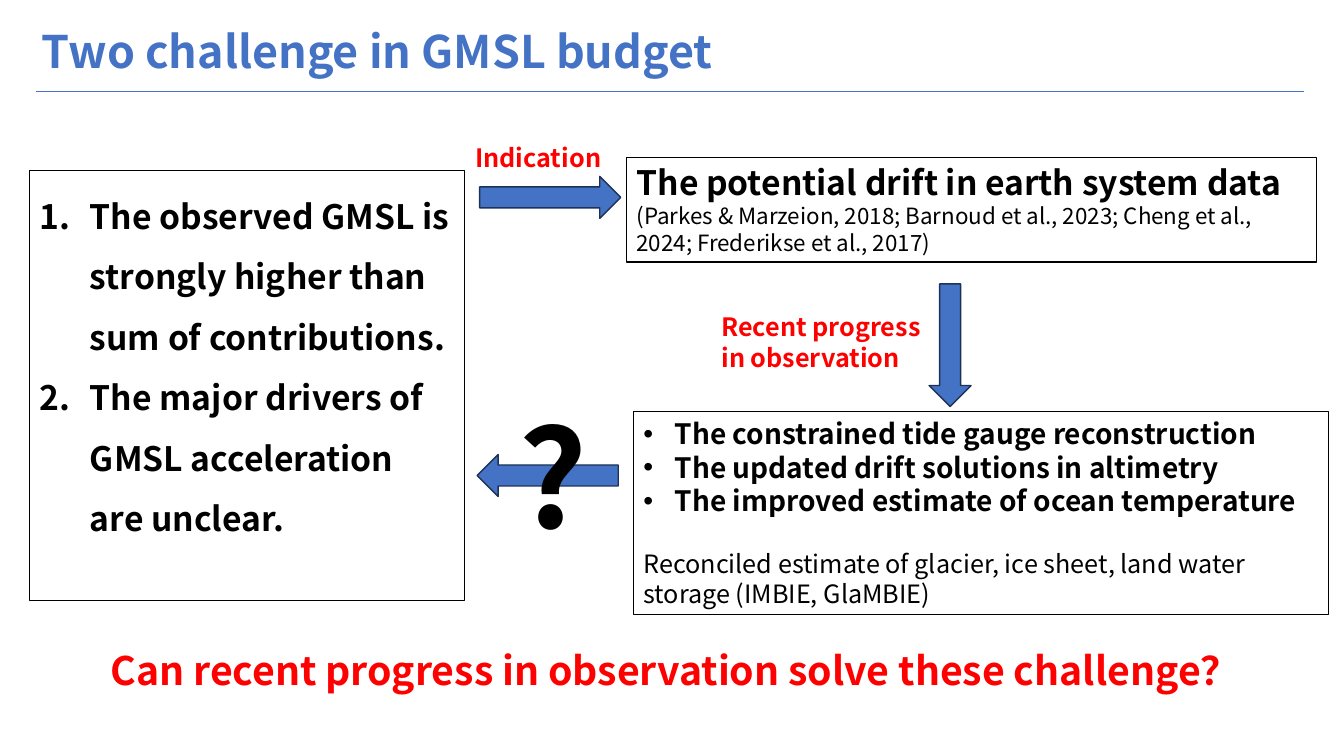
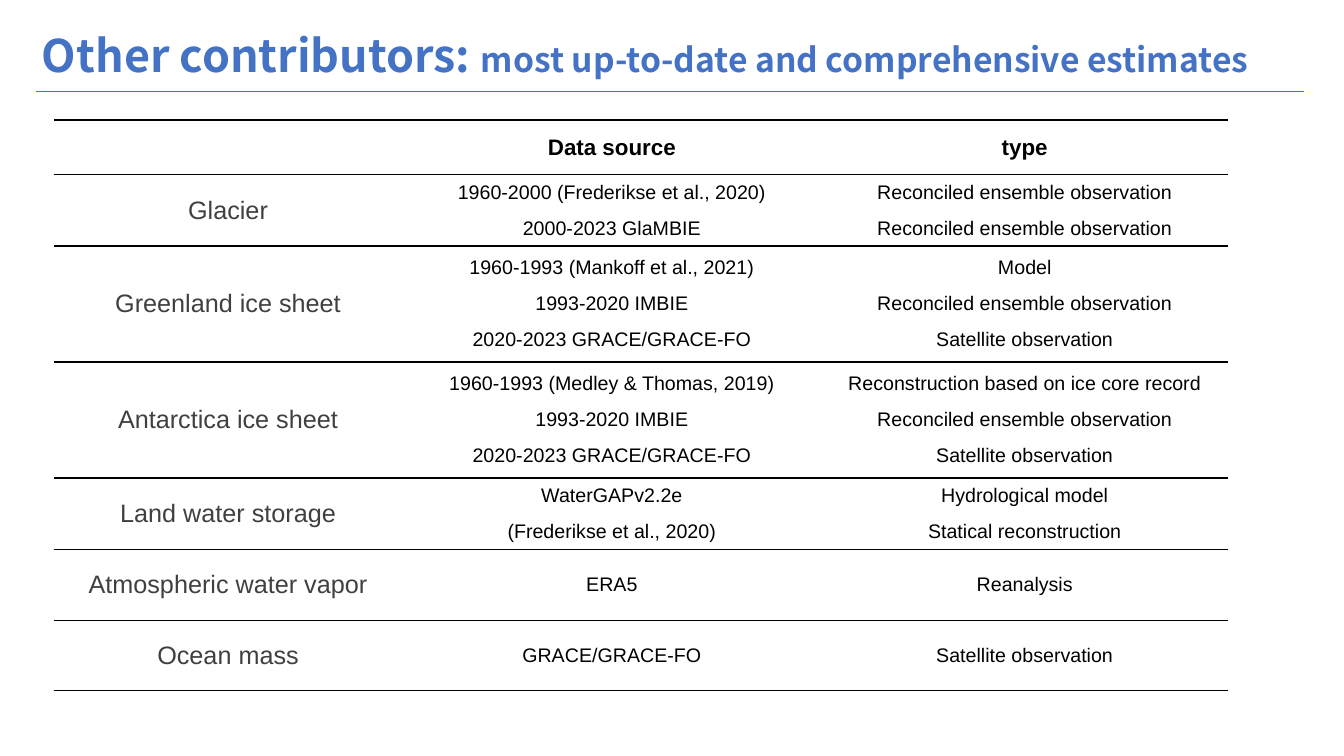
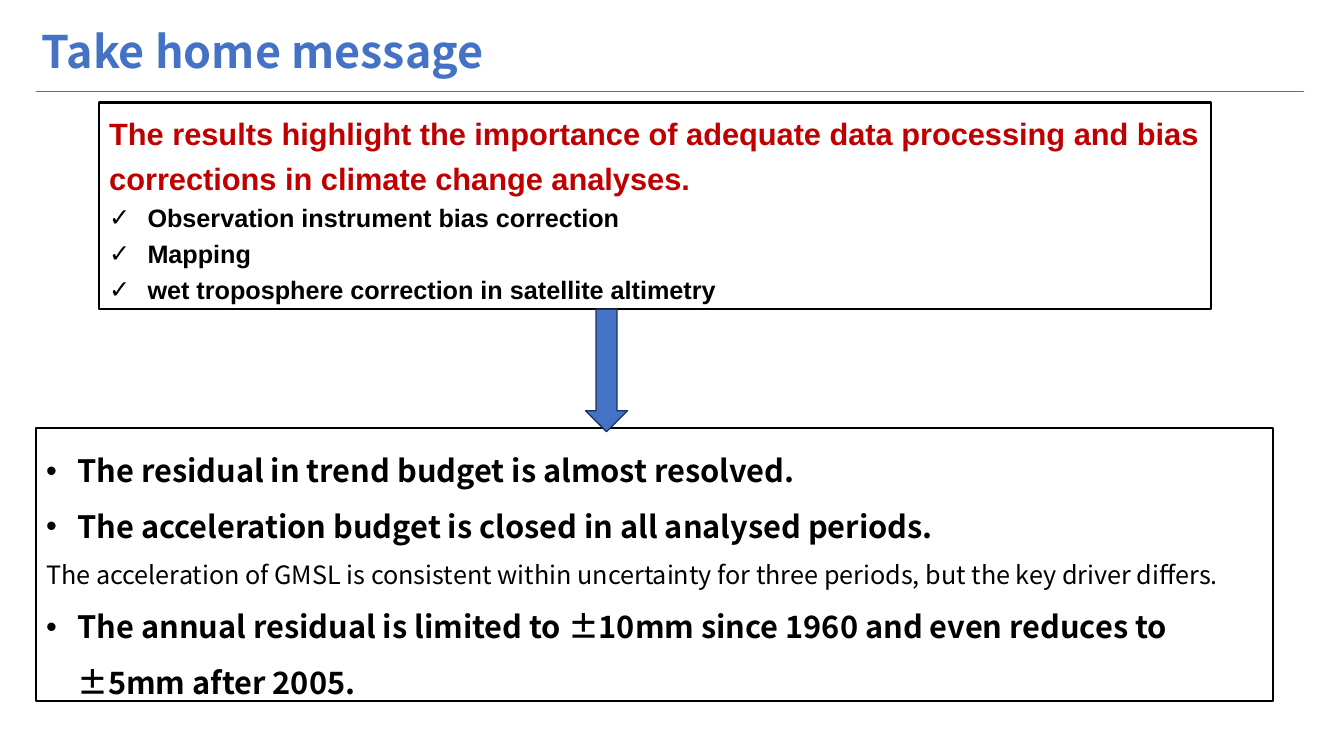
from pptx import Presentation
from pptx.dml.color import RGBColor as RGB
from pptx.enum.shapes import MSO_CONNECTOR as LINK, MSO_SHAPE as FORM
from pptx.enum.text import MSO_ANCHOR as ANCHOR, MSO_AUTO_SIZE as FIT, PP_ALIGN as ALIGN
from pptx.oxml.ns import qn
from pptx.util import Inches, Pt
from lxml.etree import SubElement as Sub

BLUE = RGB(0x44, 0x72, 0xC4)
NAVY = RGB(0x1E, 0x32, 0x56)
BLACK = RGB(0, 0, 0)
GRAY = RGB(0x40, 0x40, 0x40)
RED = RGB(0xFF, 0, 0)
DARK = RGB(0xC0, 0, 0)
SANS = "Noto Sans CJK SC"
ARIAL = "Arial"

deck = Presentation()
deck.slide_width = Inches(13.33)
deck.slide_height = Inches(7.5)
COL = deck.slide_width / 160
ROW = deck.slide_height / 90


def place(shape, left, top, width, height):
    shape.left, shape.width = int(left * COL), int(width * COL)
    shape.top, shape.height = int(top * ROW), int(height * ROW)


def write(frame, rows, lead=1, face=SANS, wrap=True):
    frame.text = "\n".join(row[0] for row in rows)
    frame.word_wrap = wrap
    frame.auto_size = FIT.NONE
    frame.vertical_anchor = ANCHOR.TOP
    for para, (text, size, color, bold, mark, dent, gap) in zip(frame.paragraphs, rows):
        props = para._p.get_or_add_pPr()
        props.set("marL", str(Inches(dent)))
        props.set("indent", str(-Inches(dent)))
        if mark == "1.":
            Sub(props, qn("a:buAutoNum"), type="arabicPeriod")
        elif mark:
            Sub(props, qn("a:buFont"), typeface=ARIAL)
            Sub(props, qn("a:buChar"), char=mark)
        else:
            Sub(props, qn("a:buNone"))
        para.alignment = ALIGN.LEFT
        para.line_spacing = lead
        para.space_before = Pt(gap)
        para.space_after = Pt(0)
        for run in para.runs:
            font = run.font
            font.size, font.bold, font.name = Pt(size), bold, face
            font.color.rgb = color
            Sub(run._r.get_or_add_rPr(), qn("a:ea"), typeface=face)


heads = [
    ("Two challenge in GMSL budget", "", 2.2, 3),
    ("Other contributors: ", "most up-to-date and comprehensive estimates", 2.6, 5),
    ("Take home message", "", 2.2, 3),
]
for head, tail, top, kind in heads:
    slide = deck.slides.add_slide(deck.slide_layouts[kind])
    title = slide.shapes.title
    place(title, 3.8, top, 154.3, 7.7)
    write(title.text_frame, [(head, 32, BLUE, True, "", 0, 0)])
    title.text_frame.vertical_anchor = ANCHOR.MIDDLE
    if tail:
        run = title.text_frame.paragraphs[0].add_run()
        run.text = tail
        run.font.size, run.font.bold, run.font.name = Pt(24), True, SANS
        run.font.color.rgb = BLUE
    rule = slide.shapes.add_connector(
        LINK.STRAIGHT, int(4.3 * COL), int(10.9 * ROW), int(155.2 * COL), int(10.9 * ROW))
    rule.line.color.rgb = BLUE
    rule.line.width = Pt(1)
    Sub(rule._element.spPr, qn("a:effectLst"))

first, second, third = deck.slides

lists = [
    (first, 1, (3.5, 20.3, 51.8, 51.2), 0.75, 1.5, SANS, [
        ("The observed GMSL is strongly higher than sum of contributions.", 24, BLACK, True, "1.", 0.5, 0),
        ("The major drivers of GMSL acceleration are unclear.", 24, BLACK, True, "1.", 0.5, 0)]),
    (first, 2, (75.4, 49, 82.8, 24.2), 0.75, 1, SANS, [
        ("The constrained tide gauge reconstruction", 20, BLACK, True, "•", 0.31, 0),
        ("The updated drift solutions in altimetry", 20, BLACK, True, "•", 0.31, 0),
        ("The improved estimate of ocean temperature", 20, BLACK, True, "•", 0.31, 0),
        ("Reconciled estimate of glacier, ice sheet, land water storage (IMBIE, GlaMBIE)",
         18, BLACK, False, "", 0, 22)]),
    (first, 0, (74.6, 18.7, 82.1, 12.5), 0.75, 1, SANS, [
        ("The potential drift in earth system data", 24, BLACK, True, "", 0, 0),
        ("(Parkes & Marzeion, 2018; Barnoud et al., 2023; Cheng et al., 2024; Frederikse et al., 2017)",
         16, BLACK, False, "", 0, 0)]),
    (third, 1, (11.8, 12.2, 132.4, 24.6), 1.5, 1.2, ARIAL, [
        ("The results highlight the importance of adequate data processing and bias "
         "corrections in climate change analyses.", 22, DARK, True, "", 0, 0),
        ("Observation instrument bias correction", 18, BLACK, True, "✓", 0.38, 0),
        ("Mapping", 18, BLACK, True, "✓", 0.38, 0),
        ("wet troposphere correction in satellite altimetry", 18, BLACK, True, "✓", 0.38, 0)]),
    (third, 2, (4.3, 51, 147.2, 32.5), 1.5, 1.5, SANS, [
        ("The residual in trend budget is almost resolved.", 22, BLACK, True, "•", 0.31, 0),
        ("The acceleration budget is closed in all analysed periods.", 22, BLACK, True, "•", 0.31, 0),
        ("The acceleration of GMSL is consistent within uncertainty for three periods, "
         "but the key driver differs.", 18, BLACK, False, "", 0, 0),
        ("The annual residual is limited to ±10mm since 1960 and even reduces to ±5mm after 2005.",
         22, BLACK, True, "•", 0.31, 0)]),
]
for slide, spot, area, width, lead, face, rows in lists:
    if spot:
        box = slide.placeholders[spot]
    else:
        box = slide.shapes.add_shape(FORM.RECTANGLE, 0, 0, 0, 0)
        box.shadow.inherit = False
    place(box, *area)
    box.fill.background()
    box.line.color.rgb = BLACK
    box.line.width = Pt(width)
    write(box.text_frame, rows, lead, face)

arrows = [
    (first, 57.1, 21, 16.8, 0),
    (first, 56.8, 54.1, 16.8, 180),
    (first, 105.8, 38.6, 14.6, 90),
    (third, 64.9, 41.6, 14.6, 90),
]
for slide, left, top, size, turn in arrows:
    arrow = slide.shapes.add_shape(FORM.RIGHT_ARROW, 0, 0, 0, 0)
    place(arrow, left, top, size, 5)
    arrow.rotation = turn
    arrow.shadow.inherit = False
    arrow.fill.solid()
    arrow.fill.fore_color.rgb = BLUE
    arrow.line.color.rgb = NAVY
    arrow.line.width = Pt(1)

labels = [
    ("Indication", 18, RED, False, (55.4, 16.3, 17.6, 4.8)),
    ("Recent progress in observation", 18, RED, True, (84.7, 36.5, 28.4, 8.5)),
    ("?", 96, BLACK, False, (60.5, 46.3, 10.1, 20.6)),
    ("Can recent progress in observation solve these challenge？", 28, RED, False, (12, 76.3, 142, 6.8)),
]
for text, size, color, wrap, area in labels:
    label = first.shapes.add_textbox(0, 0, 0, 0)
    place(label, *area)
    write(label.text_frame, [(text, size, color, True, "", 0, 0)], wrap=wrap)

OBS = "Reconciled ensemble observation"
SAT = "Satellite observation"
GRACE = "GRACE/GRACE-FO"
LATE = "1993-2020 IMBIE\n2020-2023 " + GRACE
data = [
    ("", "Data source", "type"),
    ("Glacier", "1960-2000 (Frederikse et al., 2020)\n2000-2023 GlaMBIE", f"{OBS}\n{OBS}"),
    ("Greenland ice sheet", f"1960-1993 (Mankoff et al., 2021)\n{LATE}", f"Model\n{OBS}\n{SAT}"),
    ("Antarctica ice sheet", f"1960-1993 (Medley & Thomas, 2019)\n{LATE}",
     f"Reconstruction based on ice core record\n{OBS}\n{SAT}"),
    ("Land water storage", "WaterGAPv2.2e\n(Frederikse et al., 2020)",
     "Hydrological model\nStatical reconstruction"),
    ("Atmospheric water vapor", "ERA5", "Reanalysis"),
    ("Ocean mass", GRACE, SAT),
]
wide = [41.5, 49.9, 48.4]
tall = [6.5, 8.5, 13.8, 13.8, 8.5, 8.5, 8.3]
frame = second.shapes.add_table(len(tall), len(wide), 0, 0, 0, 0)
place(frame, 6.4, 14.3, sum(wide), sum(tall))
table = frame.table
table.first_row = table.horz_banding = False
for column, span in zip(table.columns, wide):
    column.width = int(span * COL)
for line, span in zip(table.rows, tall):
    line.height = int(span * ROW)

for r, texts in enumerate(data):
    for c, text in enumerate(texts):
        cell = table.cell(r, c)
        cell.text = text
        cell.vertical_anchor = ANCHOR.MIDDLE
        cell.margin_left = cell.margin_right = Inches(0.07)
        cell.margin_top = cell.margin_bottom = 0
        props = cell._tc.get_or_add_tcPr()
        for side in ("lnL", "lnR"):
            Sub(Sub(props, qn("a:" + side), w="0"), qn("a:noFill"))
        for side in ("lnT", "lnB"):
            thick = 1.5 if r == 0 and side == "lnT" else 1
            edge = Sub(props, qn("a:" + side), w=str(Pt(thick)))
            Sub(Sub(edge, qn("a:solidFill")), qn("a:srgbClr"), val=str(BLACK))
        cell.fill.background()
        for para in cell.text_frame.paragraphs:
            para.alignment = ALIGN.CENTER
            para.space_after = Pt(10)
            font = para.font
            font.size = Pt(16 if r == 0 else 14 if c else 18)
            for run in para.runs:
                run.font.size, run.font.name = font.size, ARIAL
                run.font.bold = r == 0
                run.font.color.rgb = BLACK if c or r == 0 else GRAY

deck.save("out.pptx")
